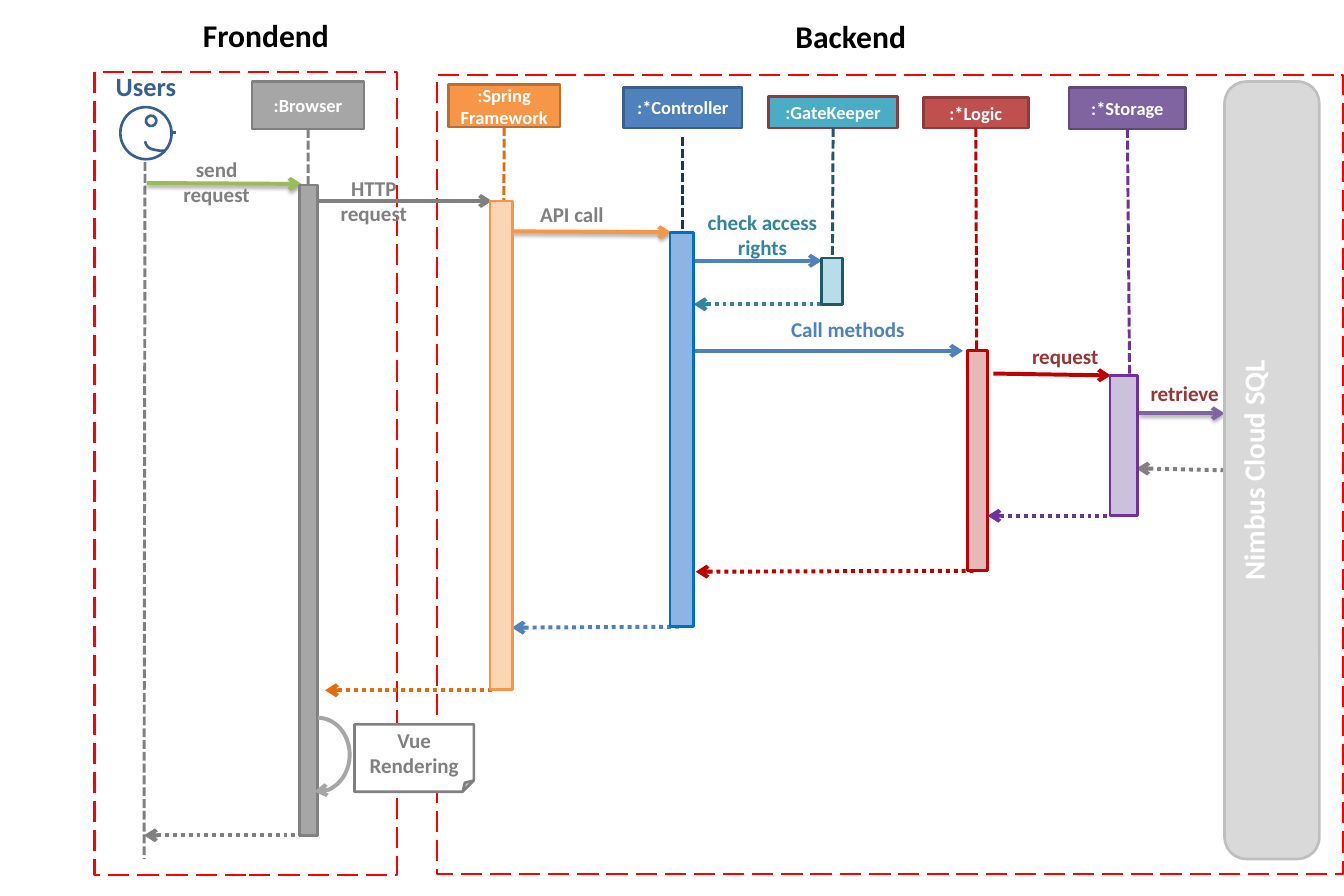
from lxml import etree
from pptx import Presentation
from pptx.dml.color import RGBColor
from pptx.enum.dml import MSO_LINE
from pptx.enum.shapes import MSO_CONNECTOR, MSO_SHAPE
from pptx.enum.text import MSO_ANCHOR, MSO_AUTO_SIZE, PP_ALIGN
from pptx.oxml.ns import qn
from pptx.util import Inches, Pt

RECT, ROUND, NOTE = MSO_SHAPE.RECTANGLE, MSO_SHAPE.ROUNDED_RECTANGLE, MSO_SHAPE.FOLDED_CORNER
CIRCLE, ARC = MSO_SHAPE.FLOWCHART_CONNECTOR, MSO_SHAPE.ARC
STRAIGHT = MSO_CONNECTOR.STRAIGHT
DOTS, DASHES, LONG = MSO_LINE.ROUND_DOT, MSO_LINE.SQUARE_DOT, MSO_LINE.LONG_DASH
LEFT, CENTER = PP_ALIGN.LEFT, PP_ALIGN.CENTER
TOP, MIDDLE = MSO_ANCHOR.TOP, MSO_ANCHOR.MIDDLE
FIT, NO_FIT = MSO_AUTO_SIZE.SHAPE_TO_FIT_TEXT, MSO_AUTO_SIZE.NONE
TOP_SITE, LEFT_SITE, BOTTOM_SITE = 0, 1, 2
GRAY, RED, BLUE, ORANGE, NAVY = "808080", "C00000", "4F81BD", "E46C0A", "376092"

HEADINGS = [
    (1, "Frondend", (1.26, 0.12, 3.09, 0.5)),
    (3, "Backend", (7.53, 0.13, 2.89, 0.5)),
]
PANELS = [(4.61, 0.79, 9.56, 8.43), (1, 0.76, 3.19, 8.47)]
# Each row: name, header box, fill, border, lifeline, joined ends, colour, bar box, fill, border
PARTICIPANTS = [
    (":Browser", (2.66, 0.86, 1.18, 0.5), "A6A6A6", GRAY,
     (3.26, 1.27, 3.26, 8.81), (True, True), GRAY,
     (3.16, 1.95, 0.19, 6.86), "A6A6A6", GRAY),
    (":Spring\nFramework", (4.73, 0.89, 1.18, 0.45), "F79646", "B76F34",
     (5.32, 1.38, 5.29, 7.28), (True, True), ORANGE,
     (5.17, 2.12, 0.24, 5.15), "FCD5B5", "F79646"),
    (":*Controller", (6.58, 0.92, 1.25, 0.43), BLUE, "3A5F8C",
     (7.2, 1.45, 7.2, 5.2), (False, False), "17375E",
     (7.07, 2.45, 0.25, 4.16), "8EB4E3", "0070C0"),
    (":GateKeeper", (8.11, 1.02, 1.36, 0.33), "4BACC6", "8E3B39",
     (8.78, 1.38, 8.78, 3.2), (True, True), "215968",
     (8.67, 2.72, 0.22, 0.49), "B7DEE8", "215968"),
    (":*Logic", (9.74, 1.03, 1.11, 0.32), "C0504D", "8E3B39",
     (10.3, 1.34, 10.31, 6.03), (True, True), RED,
     (10.21, 3.7, 0.21, 2.32), "E6B9B8", RED),
    (":*Storage", (11.28, 0.92, 1.23, 0.44), "8064A2", "5F4A78",
     (11.93, 1.35, 11.92, 4.15), (True, False), "7030A0",
     (11.71, 3.96, 0.29, 1.48), "CCC1DA", "7030A0"),
]
CALLS = [
    ((1.55, 1.93, 3.18, 1.94), "9BBB59", True),
    ((3.26, 2.12, 5.19, 2.12), GRAY, False),
    ((5.39, 2.44, 7.08, 2.45), "F79646", True),
    ((7.32, 2.75, 8.67, 2.75), BLUE, False),
    ((7.25, 3.7, 10.16, 3.7), BLUE, False),
    ((10.48, 3.94, 11.72, 3.96), RED, False),
    ((12.02, 4.36, 12.92, 4.36), "8064A2", True),
]
REPLIES = [
    ((7.32, 3.21, 8.67, 3.21), "31859C", None, None),
    ((11.99, 4.94, 12.92, 4.96), GRAY, "cloud", LEFT_SITE),
    ((10.42, 5.44, 11.71, 5.44), "7030A0", None, None),
    ((7.34, 6.03, 10.31, 6.03), RED, ":*Logic", BOTTOM_SITE),
    ((5.4, 6.62, 7.2, 6.62), BLUE, ":*Controller", BOTTOM_SITE),
    ((3.43, 7.28, 5.19, 7.28), ORANGE, None, None),
    ((1.52, 8.81, 3.2, 8.81), GRAY, None, None),
]
LABELS = [
    ("send\nrequest", (1.81, 1.6, 0.95, 0.64), GRAY, CENTER),
    ("HTTP\nrequest", (3.48, 1.8, 0.93, 0.64), GRAY, CENTER),
    ("API call", (5.6, 2.08, 0.99, 0.37), GRAY, LEFT),
    ("check access rights", (7.36, 2.16, 1.37, 0.64), "31859C", CENTER),
    ("Call methods", (8.22, 3.29, 1.45, 0.37), BLUE, CENTER),
    ("request", (10.79, 3.57, 1.22, 0.37), "953735", LEFT),
    ("retrieve", (12.04, 3.96, 1.22, 0.37), "953735", LEFT),
]
SMILE = [(1.75, 1.59), (1.69, 1.59), (1.63, 1.58), (1.59, 1.57), (1.56, 1.55), (1.54, 1.52), (1.53, 1.49)]


def rgb(value):
    """Return the colour for a hex string."""
    return RGBColor.from_string(value)


def inches(values):
    """Convert a sequence of numbers to lengths."""
    return [Inches(v) for v in values]


def write(sp, text, size=16, color="FFFFFF", align=CENTER, anchor=MIDDLE, fit=NO_FIT):
    """Fill a shape with bold text, one paragraph a line."""
    tf = sp.text_frame
    tf.word_wrap = True
    tf.auto_size = fit
    tf.vertical_anchor = anchor
    for i, line in enumerate(text.split("\n")):
        p = tf.add_paragraph() if i else tf.paragraphs[0]
        p.alignment = align
        p.space_before = Pt(0)
        r = p.add_run()
        r.text = line
        r.font.name, r.font.size, r.font.bold = "Calibri", Pt(size), True
        r.font.color.rgb = rgb(color)


def outline(sp, color, width=2, dash=None, arrow=None):
    """Format a line, with an arrowhead at headEnd or tailEnd."""
    sp.line.color.rgb = rgb(color)
    sp.line.width = Pt(width)
    if dash:
        sp.line.dash_style = dash
    if arrow:
        ln = sp._element.spPr.find(qn("a:ln"))
        etree.SubElement(ln, qn(f"a:{arrow}"), type="arrow")


def paint(sp, fill, border):
    """Give a shape a flat fill and border."""
    sp.shadow.inherit = False
    sp.fill.solid()
    sp.fill.fore_color.rgb = rgb(fill)
    outline(sp, border)


def box(shapes, kind, at, fill, border):
    """Add a filled preset shape."""
    sp = shapes.add_shape(kind, *inches(at))
    paint(sp, fill, border)
    return sp


def link(shapes, ends, color, width=3, dash=None, arrow=None, shadow=False):
    """Add a straight line or arrow."""
    sp = shapes.add_connector(STRAIGHT, *inches(ends))
    outline(sp, color, width, dash, arrow)
    effects = etree.SubElement(sp._element.spPr, qn("a:effectLst"))
    if shadow:
        outer = etree.SubElement(effects, qn("a:outerShdw"), blurRad=str(Pt(3.1)),
                                 dist=str(Pt(1.8)), dir="5400000", rotWithShape="0")
        black = etree.SubElement(outer, qn("a:srgbClr"), val="000000")
        etree.SubElement(black, qn("a:alpha"), val="35000")
    return sp


def add_headings(s):
    """Fill the two heading placeholders and remove the others."""
    for idx, text, at in HEADINGS:
        sp = s.placeholders[idx]
        sp.left, sp.top, sp.width, sp.height = inches(at)
        write(sp, text, size=24, color="000000", anchor=TOP)
    for sp in list(s.placeholders):
        if not sp.text_frame.text:
            sp._element.getparent().remove(sp._element)


def add_user(shapes):
    """Draw the user's face with its label and lifeline."""
    link(shapes, (1.53, 1.71, 1.52, 9.06), GRAY, 2.25, DASHES)
    sp = shapes.add_textbox(*inches((1, 0.69, 1.08, 0.49)))
    write(sp, "Users", size=20, color=NAVY, anchor=TOP)
    face = shapes.add_group_shape().shapes
    for at in [(1.27, 1.13, 0.54, 0.55), (1.54, 1.22, 0.11, 0.11)]:
        box(face, CIRCLE, at, "FFFFFF", NAVY).rotation = 347.2
    link(face, (1.81, 1.4, 1.86, 1.4), NAVY, 2)
    points = [inches(point) for point in SMILE]
    builder = face.build_freeform(*points[0])
    builder.add_line_segments(points[1:], close=False)
    paint(builder.convert_to_shape(), "FFFFFF", NAVY)


def add_sequence(shapes):
    """Draw participants, lifelines, messages and activation bars."""
    lifelines = []
    for name, head, fill, border, ends, (joined, _), color, *_ in PARTICIPANTS:
        header = box(shapes, RECT, head, fill, border)
        write(header, name, size=14)
        line = link(shapes, ends, color, 2.25, DASHES)
        if joined:
            line.begin_connect(header, BOTTOM_SITE)
        lifelines.append(line)
    for ends, color, shadow in CALLS:
        link(shapes, ends, color, arrow="tailEnd", shadow=shadow)
    replies = [link(shapes, ends, color, dash=DOTS, arrow="headEnd") for ends, color, *_ in REPLIES]
    targets = {"cloud": add_cloud(shapes)}
    for line, (name, *_, joins, _, at, fill, border) in zip(lifelines, PARTICIPANTS):
        targets[name] = box(shapes, RECT, at, fill, border)
        if joins[1]:
            line.end_connect(targets[name], BOTTOM_SITE)
    for line, (*_, target, site) in zip(replies, REPLIES):
        if target:
            line.end_connect(targets[target], site)


def add_cloud(shapes):
    """Draw the tall database block with upward text."""
    sp = box(shapes, ROUND, (12.92, 0.86, 1, 8.2), "D9D9D9", "BFBFBF")
    sp.adjustments[0] = 0.23
    write(sp, "Nimbus Cloud SQL", size=22, anchor=TOP)
    sp.text_frame._txBody.bodyPr.set("vert", "vert270")
    return sp


def add_rendering(shapes):
    """Draw the self-call arc and its note."""
    arc = shapes.add_shape(ARC, *inches((3.02, 7.57, 0.67, 0.78)))
    arc.shadow.inherit = False
    arc.fill.background()
    arc.adjustments[0], arc.adjustments[1] = 162, 57.21
    outline(arc, "A6A6A6", 3, arrow="tailEnd")
    note = box(shapes, NOTE, (3.74, 7.64, 1.26, 0.71), "FFFFFF", GRAY)
    write(note, "Vue Rendering", color=GRAY)


def main():
    """Build the sequence diagram slide."""
    prs = Presentation()
    prs.slide_width, prs.slide_height = Inches(14.18), Inches(9.45)
    s = prs.slides.add_slide(prs.slide_layouts.get_by_name("Comparison"))
    add_headings(s)
    for at in PANELS:
        outline(box(s.shapes, RECT, at, "FFFFFF", "FF0000"), "FF0000", dash=LONG)
    add_user(s.shapes)
    add_sequence(s.shapes)
    add_rendering(s.shapes)
    for text, at, color, align in LABELS:
        sp = s.shapes.add_textbox(*inches(at))
        write(sp, text, color=color, align=align, anchor=TOP, fit=FIT)
    prs.save("out.pptx")


if __name__ == "__main__":
    main()
